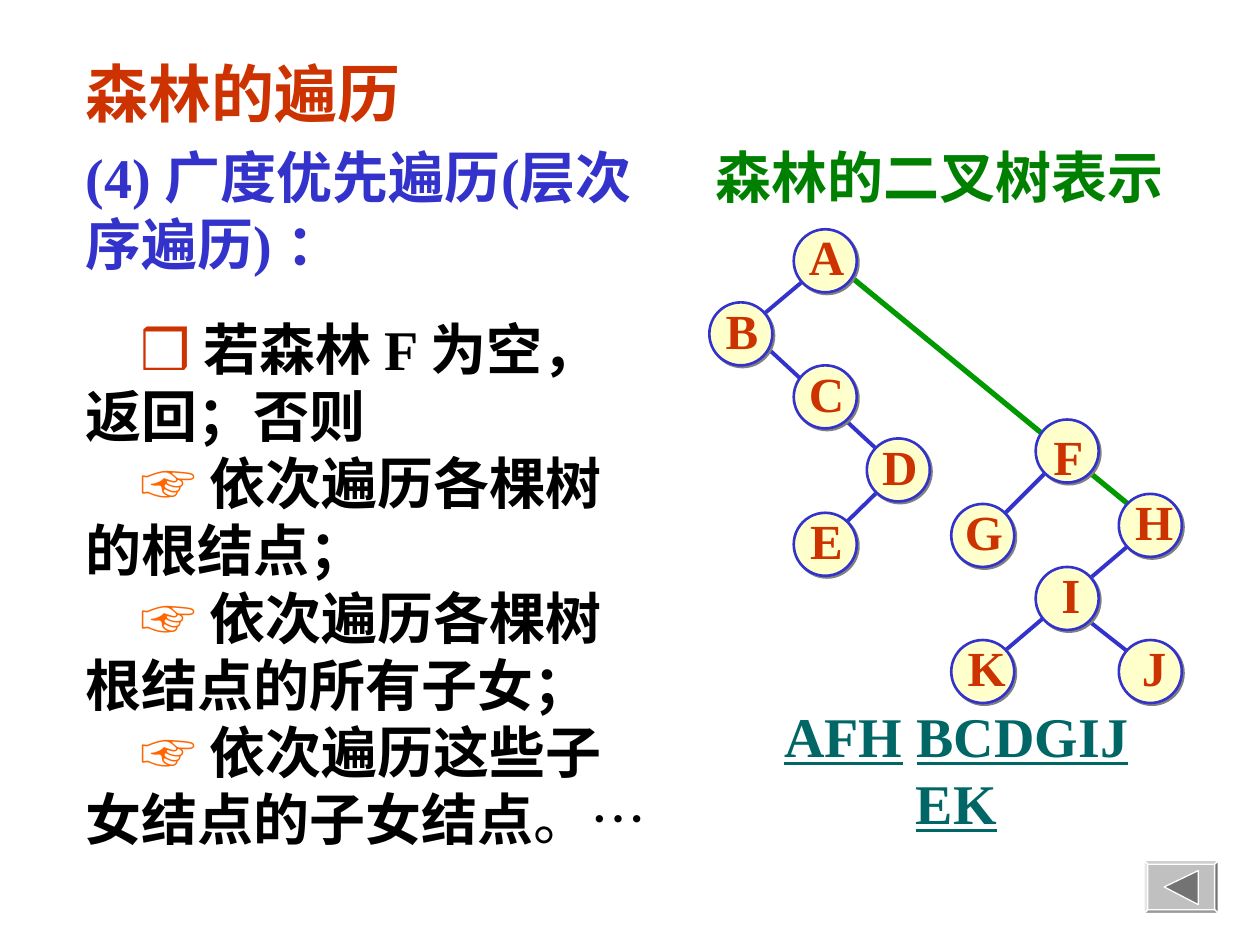
from dataclasses import dataclass
from typing import NamedTuple, Optional

from lxml import etree
from pptx import Presentation
from pptx import util as u
from pptx.dml.color import RGBColor
from pptx.enum import shapes, text
from pptx.oxml import ns


@dataclass(frozen=True)
class Theme:
    red: str = "CC3300"
    blue: str = "3333CC"
    green: str = "008000"
    link_green: str = "009900"
    teal: str = "006666"
    orange: str = "FF6600"
    black: str = "000000"
    white: str = "FFFFFF"
    node_fill: str = "FFFFCC"
    node_shadow: str = "808080"
    serif: str = "Times New Roman"
    sans: str = "Arial"
    title_size: float = 36
    body_size: float = 32
    node_size: float = 28


THEME = Theme()


class Run(NamedTuple):
    words: str
    color: str = THEME.black
    size: float = THEME.body_size
    font: str = THEME.serif
    bold: bool = True
    underline: bool = False


class Line(NamedTuple):
    runs: list[Run]
    indent: float = 0
    before: float = 0


class Box(NamedTuple):
    left: float
    top: float
    width: float
    height: float


class Node(NamedTuple):
    letter: str
    left: float
    top: float
    label_width: float
    shift_x: float = 0.01
    shift_y: float = -0.07


class Edge(NamedTuple):
    x1: float
    y1: float
    x2: float
    y2: float
    color: str = THEME.blue
    weight: float = 2.25


class Facet(NamedTuple):
    color: str
    points: list[tuple[float, float]]


NODE_SIZE = 0.5
LABEL_HEIGHT = 0.57
INDENT = 0.44

NODES = [
    Node("A", 6.3, 1.82, 0.48), Node("B", 5.63, 2.4, 0.46),
    Node("C", 6.3, 2.9, 0.48), Node("D", 6.88, 3.48, 0.48),
    Node("E", 6.3, 4.07, 0.46), Node("F", 8.22, 3.33, 0.44, shift_y=0),
    Node("G", 7.55, 4, 0.5), Node("H", 8.88, 3.92, 0.5, 0.03),
    Node("I", 8.22, 4.5, 0.35, 0.03), Node("J", 8.88, 5.08, 0.39, 0.03),
    Node("K", 7.55, 5.08, 0.5, 0.03),
]

EDGES = [
    Edge(6.72, 2.17, 9.05, 4.08, THEME.link_green, 3),
    Edge(7.05, 3.82, 6.63, 4.23),
    Edge(5.97, 2.65, 7.05, 3.65),
    Edge(6.47, 2.15, 5.97, 2.57),
    Edge(8.63, 4.92, 9.05, 5.25),
    Edge(9.05, 4.25, 7.97, 5.17),
    Edge(8.38, 3.67, 7.88, 4.17),
]


def rgb(value: str) -> RGBColor:
    return RGBColor.from_string(value)


def add_text(slide, box: Box, lines: list[Line], centered: bool = False) -> None:
    frame = slide.shapes.add_textbox(*map(u.Inches, box)).text_frame
    frame.word_wrap = not centered
    frame.auto_size = text.MSO_AUTO_SIZE.SHAPE_TO_FIT_TEXT
    if centered:
        frame.vertical_anchor = text.MSO_ANCHOR.MIDDLE
    for index, line in enumerate(lines):
        paragraph = frame.add_paragraph() if index else frame.paragraphs[0]
        if centered:
            paragraph.alignment = text.PP_ALIGN.CENTER
        if line.before:
            paragraph.space_before = u.Pt(line.before)
        if line.indent:
            properties = paragraph._p.get_or_add_pPr()
            properties.set("marL", "0")
            properties.set("indent", str(u.Inches(line.indent)))
        for part in line.runs:
            run = paragraph.add_run()
            run.text = part.words
            run.font.name = part.font
            run.font.size = u.Pt(part.size)
            run.font.bold = part.bold
            run.font.underline = part.underline
            run.font.color.rgb = rgb(part.color)


def add_edge(slide, edge: Edge) -> None:
    ends = map(u.Inches, (edge.x1, edge.y1, edge.x2, edge.y2))
    branch = slide.shapes.add_connector(shapes.MSO_CONNECTOR.STRAIGHT, *ends)
    branch.line.color.rgb = rgb(edge.color)
    branch.line.width = u.Pt(edge.weight)
    etree.SubElement(branch._element.spPr, ns.qn("a:effectLst"))


def add_node(slide, node: Node) -> None:
    area = (node.left, node.top, NODE_SIZE, NODE_SIZE)
    circle = slide.shapes.add_shape(shapes.MSO_SHAPE.OVAL, *map(u.Inches, area))
    circle.fill.solid()
    circle.fill.fore_color.rgb = rgb(THEME.node_fill)
    circle.line.color.rgb = rgb(THEME.blue)
    circle.line.width = u.Pt(1.5)
    circle.shadow.inherit = False
    effects = circle._element.spPr.find(ns.qn("a:effectLst"))
    shadow = etree.SubElement(effects, ns.qn("a:outerShdw"), dist=str(u.Pt(1.4)),
                              dir=str(45 * 60000), algn="ctr", rotWithShape="0")
    etree.SubElement(shadow, ns.qn("a:srgbClr"), val=THEME.node_shadow)

    label_left = node.left + (NODE_SIZE - node.label_width) / 2 + node.shift_x
    label = Box(label_left, node.top + node.shift_y, node.label_width, LABEL_HEIGHT)
    add_text(slide, label, [Line([Run(node.letter, THEME.red, THEME.node_size)])], True)


def add_facet(slide, facet: Facet) -> None:
    points = [(u.Inches(x), u.Inches(y)) for x, y in facet.points]
    builder = slide.shapes.build_freeform(*points[0])
    builder.add_line_segments(points[1:], close=True)
    face = builder.convert_to_shape()
    face.fill.solid()
    face.fill.fore_color.rgb = rgb(facet.color)
    face.line.color.rgb = rgb(THEME.white)
    face.line.width = u.Pt(0)
    face.shadow.inherit = False


def add_back_button(slide) -> None:
    outer = [(9.08, 6.83), (9.67, 6.83), (9.67, 7.25), (9.08, 7.25)]
    inner = [(9.11, 6.86), (9.64, 6.86), (9.64, 7.22), (9.11, 7.22)]
    add_facet(slide, Facet("C0C0C0", outer))
    for side, color in enumerate(("CDCDCD", "737373", "9A9A9A", "E6E6E6")):
        after = (side + 1) % 4
        add_facet(slide, Facet(color, [outer[side], outer[after], inner[after], inner[side]]))
    add_facet(slide, Facet("737373", [(9.24, 7.04), (9.51, 6.91), (9.51, 7.18)]))


def step(mark: str, color: str, words: str, before: float = 0) -> Line:
    return Line([Run(mark, color, font=THEME.sans), Run(" " + words)], INDENT, before)


def main() -> None:
    deck = Presentation()
    deck.slide_width, deck.slide_height = u.Inches(10), u.Inches(7.5)
    slide = deck.slides.add_slide(deck.slide_layouts[6])

    add_text(slide, Box(0.58, 0.38, 2.75, 0.7),
             [Line([Run("森林的遍历", THEME.red, THEME.title_size, THEME.sans)])])
    add_text(slide, Box(5.58, 1.08, 3.79, 0.64),
             [Line([Run("森林的二叉树表示", THEME.green)])])
    add_text(slide, Box(0.58, 1.08, 4.83, 6.27), [
        Line([Run("(4) 广度优先遍历(层次", THEME.blue)]),
        Line([Run("序遍历) ：", THEME.blue)]),
        step("❒", THEME.red, "若森林 F 为空，", before=21.5),
        Line([Run("返回；否则")]),
        step("☞", THEME.orange, "依次遍历各棵树"),
        Line([Run("的根结点；")]),
        step("☞", THEME.orange, "依次遍历各棵树"),
        Line([Run("根结点的所有子女；")]),
        step("☞", THEME.orange, "依次遍历这些子"),
        Line([Run("女结点的子女结点"), Run("。", bold=False),
              Run("…", font=THEME.sans, bold=False)]),
    ])
    add_back_button(slide)

    for edge in EDGES:
        add_edge(slide, edge)
    for node in NODES:
        add_node(slide, node)

    levels = [Run(word, THEME.teal, underline=word != " ")
              for word in ("AFH", " ", "BCDGIJ", " ", "EK")]
    add_text(slide, Box(5.75, 5.78, 3.68, 0.64), [Line(levels)], True)

    deck.save("out.pptx")


if __name__ == "__main__":
    main()
